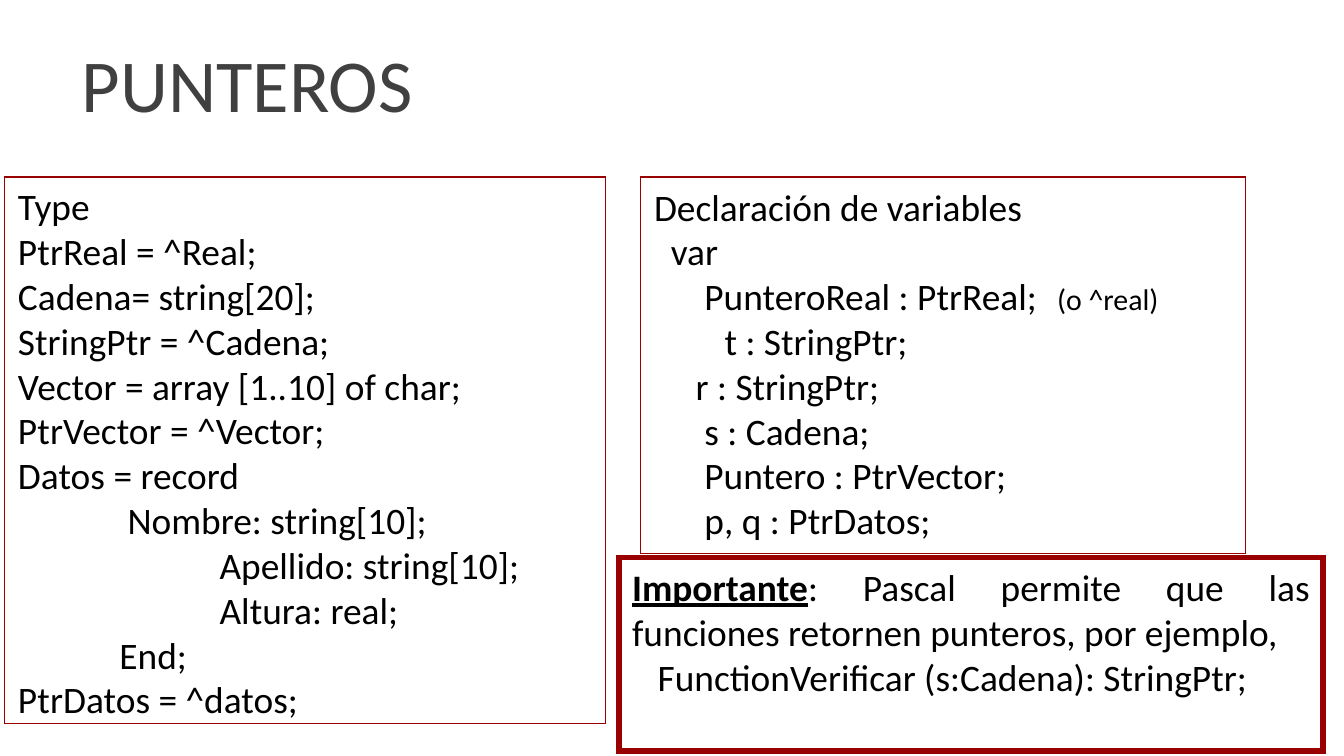
import pptx
import pptx.dml.color
import pptx.enum.shapes
import pptx.enum.text
import pptx.oxml
import pptx.oxml.ns
import pptx.util

Inches, Pt = pptx.util.Inches, pptx.util.Pt
RGB = pptx.dml.color.RGBColor.from_string
ANCHOR, ALIGN = pptx.enum.text.MSO_ANCHOR, pptx.enum.text.PP_ALIGN
NS = pptx.oxml.ns.nsdecls("a")

THEME = {
    "font": "Calibri",
    "title": {"size": Pt(40), "color": RGB("404040")},
    "code": {"size": Pt(20), "color": RGB("000000")},
    "note": {"size": Pt(16), "color": RGB("000000")},
    "border": RGB("990000"),
}

# Widescreen slide, 16:9
prs = pptx.Presentation()
prs.slide_width = Inches(10)
prs.slide_height = prs.slide_width * 9 // 16
s = prs.slides.add_slide(prs.slide_layouts[6])

# Grid of 100 columns by 100 rows
COL, ROW = prs.slide_width / 100, prs.slide_height / 100


def add_box(left, top, width, height, border=None, anchor=ANCHOR.TOP):
    """Add an unfilled rectangle placed in grid units; return its text frame."""
    sp = s.shapes.add_shape(
        pptx.enum.shapes.MSO_SHAPE.RECTANGLE,
        round(left * COL), round(top * ROW), round(width * COL), round(height * ROW))
    sp.shadow.inherit = False
    sp.fill.background()
    if border:
        sp.line.color.rgb = THEME["border"]
        sp.line.width = Pt(border)
        ln = sp._element.spPr.find(pptx.oxml.ns.qn("a:ln"))
        ln.append(pptx.oxml.parse_xml(f'<a:miter {NS} lim="800000"/>'))
    else:
        sp.line.fill.background()
    tf = sp.text_frame
    layout = {"word_wrap": True, "vertical_anchor": anchor,
              "margin_left": Inches(0.1), "margin_right": Inches(0.1),
              "margin_top": Inches(0.05), "margin_bottom": Inches(0.05)}
    for name, value in layout.items():
        setattr(tf, name, value)
    return tf


def add_line(tf, runs, indent=0, align=ALIGN.LEFT, tab=None):
    """Write the next paragraph; indent and tab stop are in grid columns."""
    p = tf.paragraphs[0] if not tf.text else tf.add_paragraph()
    p.alignment = align
    pPr = p._p.get_or_add_pPr()
    pPr.set("marL", "0")
    pPr.set("indent", str(round(indent * COL)))
    if tab:
        pPr.append(pptx.oxml.parse_xml(
            f'<a:tabLst {NS}><a:tab pos="{round(tab * COL)}" algn="l"/></a:tabLst>'))
    for text, style, extra in runs:
        r = p.add_run()
        r.text = text
        r.font.color.rgb = THEME[style]["color"]
        fmt = {"name": THEME["font"], "size": THEME[style]["size"], **extra}
        for name, value in fmt.items():
            setattr(r.font, name, value)
    return p


# Title
title = add_box(5.1, -1.78, 93.3, 19.55, anchor=ANCHOR.BOTTOM)
add_line(title, [("PUNTEROS", "title", {})]).line_spacing = 0.85

# Type declarations
types = add_box(0.36, 23.4, 44.7, 72.35, border=0.75)
for text, indent in [
    ("Type", 0),
    ("PtrReal = ^Real;", 0),
    ("Cadena= string[20];", 0),
    ("StringPtr = ^Cadena;", 0),
    ("Vector = array [1..10] of char;", 0),
    ("PtrVector = ^Vector;", 0),
    ("Datos = record", 0),
    ("Nombre: string[10];", 8.15),
    ("Apellido: string[10];", 15),
    ("Altura: real;", 15),
    ("End;", 7.55),
    ("PtrDatos = ^datos;", 0),
]:
    add_line(types, [(text, "code", {})], indent)

# Variable declarations
variables = add_box(47.68, 23.42, 45, 49.8, border=0.75)
for text, indent, note in [
    ("Declaración de variables", 0, None),
    ("var", 1.25, None),
    ("PunteroReal : PtrReal;", 3.75, "(o ^real)"),
    ("t : StringPtr;", 5.25, None),
    ("r : StringPtr;", 3.1, None),
    ("s : Cadena;", 3.75, None),
    ("Puntero : PtrVector;", 3.75, None),
    ("p, q : PtrDatos;", 3.75, None),
]:
    runs = [(text, "code", {})]
    if note:
        runs.append(("\t" + note, "note", {}))
    add_line(variables, runs, indent, tab=32 if note else None)

# Remark about functions that return pointers
remark = add_box(46.05, 73.75, 52.4, 25.6, border=3)
add_line(remark, [
    ("Importante", "code", {"bold": True, "underline": True}),
    (": Pascal permite que las funciones retornen punteros, por ejemplo,", "code", {}),
], align=ALIGN.JUSTIFY)
add_line(remark, [("FunctionVerificar (s:Cadena): StringPtr;", "code", {})], 1.9)

prs.save("out.pptx")
